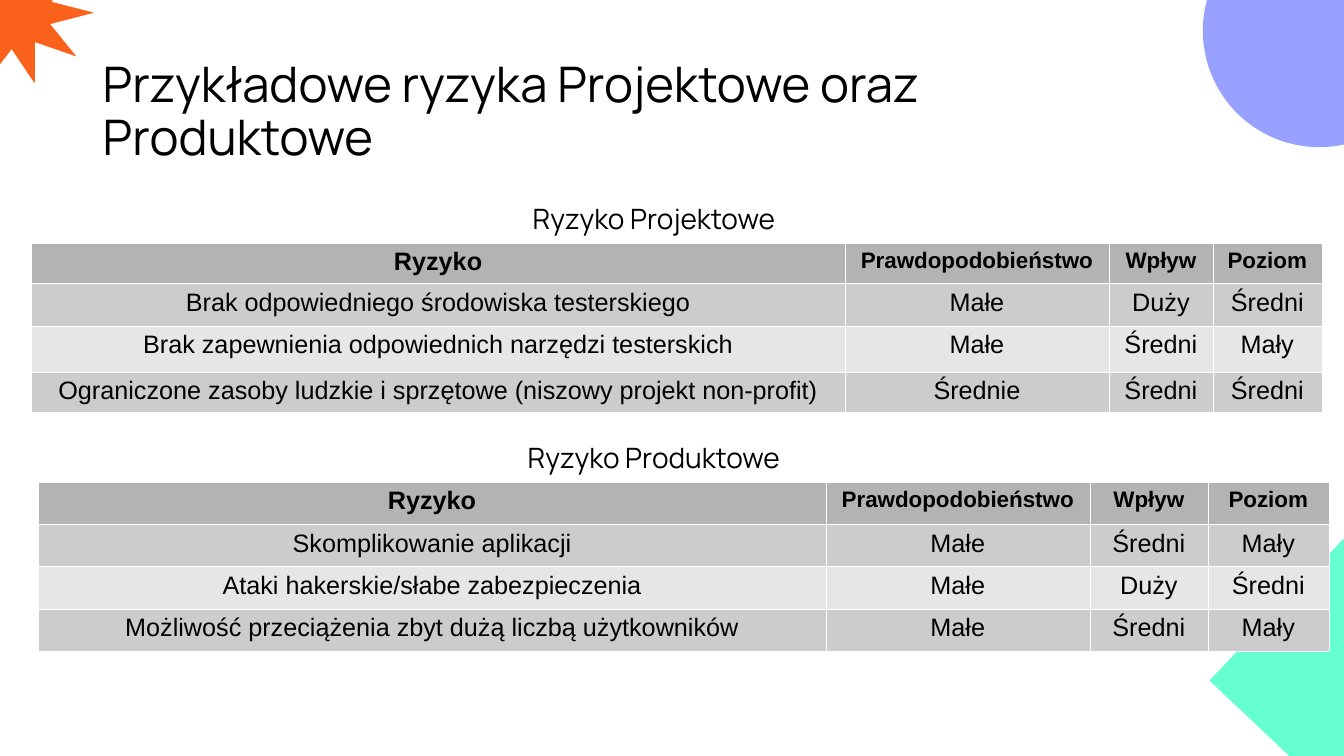
from lxml import etree
from pptx import Presentation
from pptx.dml.color import RGBColor
from pptx.enum.shapes import MSO_SHAPE
from pptx.enum.text import MSO_ANCHOR, PP_ALIGN
from pptx.oxml.ns import qn
from pptx.util import Inches, Pt

CENTER, LEFT, MIDDLE, TOP = PP_ALIGN.CENTER, PP_ALIGN.LEFT, MSO_ANCHOR.MIDDLE, MSO_ANCHOR.TOP
ELLIPSE, RECTANGLE, STAR = MSO_SHAPE.OVAL, MSO_SHAPE.RECTANGLE, MSO_SHAPE.STAR_10_POINT

BLACK = RGBColor(0x00, 0x00, 0x00)
VIOLET = RGBColor(0x98, 0xA1, 0xFF)
MINT = RGBColor(0x66, 0xFF, 0xD0)
ORANGE = RGBColor(0xFA, 0x61, 0x1A)
HEADER_GRAY = RGBColor(0xB3, 0xB3, 0xB3)
BAND_GRAYS = (RGBColor(0xCC, 0xCC, 0xCC), RGBColor(0xE6, 0xE6, 0xE6))
BORDER_COLOR = "FFFFFF"
BORDER_WIDTH = Pt(0.06)

TITLE = "Przykładowe ryzyka Projektowe oraz Produktowe"
HEADER = ("Ryzyko", "Prawdopodobieństwo", "Wpływ", "Poziom")
RISK_TABLES = [
    {
        "heading": "Ryzyko Projektowe",
        "left": 0.31, "top": 2.41,
        "columns": (8.07, 2.62, 1.03, 1.08),
        "heights": (0.38, 0.42, 0.46, 0.38),
        "risks": [
            ("Brak odpowiedniego środowiska testerskiego", "Małe", "Duży", "Średni"),
            ("Brak zapewnienia odpowiednich narzędzi testerskich", "Małe", "Średni", "Mały"),
            ("Ograniczone zasoby ludzkie i sprzętowe (niszowy projekt non-profit)",
             "Średnie", "Średni", "Średni"),
        ],
    },
    {
        "heading": "Ryzyko Produktowe",
        "left": 0.38, "top": 4.78,
        "columns": (7.81, 2.62, 1.17, 1.2),
        "heights": (0.42,) * 4,
        "risks": [
            ("Skomplikowanie aplikacji", "Małe", "Średni", "Mały"),
            ("Ataki hakerskie/słabe zabezpieczenia", "Małe", "Duży", "Średni"),
            ("Możliwość przeciążenia zbyt dużą liczbą użytkowników", "Małe", "Średni", "Mały"),
        ],
    },
]
# kind, (left, top, width, height), rotation, colour
DECORATIONS = [
    (ELLIPSE, (11.93, -0.85, 2.31, 2.31), 0, VIOLET),
    (RECTANGLE, (12.37, 4.92, 3.88, 2.7), 313.4, MINT),
    (STAR, (-0.63, -0.6, 1.53, 1.46), 343.3, ORANGE),
]
STAR_DEPTH = 0.243
TEXT_LEFT, TEXT_WIDTH = 0.92, 10.89
HEADING_SHIFT = 0.12
HEADING_RISE = 0.42  # from heading box top to table top


def add_decoration(slide, kind, box, rotation, color):
    shape = slide.shapes.add_shape(kind, *map(Inches, box))
    if kind == STAR:
        shape.adjustments[0] = STAR_DEPTH
    shape.rotation = rotation
    shape.shadow.inherit = False
    shape.fill.solid()
    shape.fill.fore_color.rgb = color
    shape.line.fill.background()


def style(paragraph, text, font, size, align, bold=False):
    paragraph.text = text
    paragraph.alignment = align
    paragraph.font.name = font
    paragraph.font.size = Pt(size)
    paragraph.font.bold = bold
    paragraph.font.color.rgb = BLACK


def add_text(slide, text, box, size, align, anchor):
    frame = slide.shapes.add_textbox(*map(Inches, box)).text_frame
    frame.word_wrap = True
    frame.vertical_anchor = anchor
    style(frame.paragraphs[0], text, "Manrope", size, align)
    frame.paragraphs[0].line_spacing = 0.9


def add_borders(cell):
    properties = cell._tc.get_or_add_tcPr()
    for side in ("a:lnL", "a:lnR", "a:lnT", "a:lnB"):
        line = etree.SubElement(properties, qn(side), w=str(int(BORDER_WIDTH)))
        fill = etree.SubElement(line, qn("a:solidFill"))
        etree.SubElement(fill, qn("a:srgbClr"), val=BORDER_COLOR)


def add_risk_table(slide, data):
    rows = [HEADER, *data["risks"]]
    columns, heights = data["columns"], data["heights"]
    box = (data["left"], data["top"], sum(columns), sum(heights))
    table = slide.shapes.add_table(len(rows), len(columns), *map(Inches, box)).table
    for column, width in zip(table.columns, columns):
        column.width = Inches(width)
    for row, height in zip(table.rows, heights):
        row.height = Inches(height)
    for r, values in enumerate(rows):
        is_header = r == 0
        for c, value in enumerate(values):
            cell = table.cell(r, c)
            size = 16 if is_header and c > 0 else 18
            style(cell.text_frame.paragraphs[0], value, "Arial", size, CENTER, is_header)
            add_borders(cell)
            cell.fill.solid()
            cell.fill.fore_color.rgb = HEADER_GRAY if is_header else BAND_GRAYS[(r - 1) % 2]


def main():
    deck = Presentation()
    deck.slide_width, deck.slide_height = Inches(13.33), Inches(7.5)
    slide = deck.slides.add_slide(deck.slide_layouts[6])
    for decoration in DECORATIONS:
        add_decoration(slide, *decoration)
    add_text(slide, TITLE, (TEXT_LEFT, 0.4, TEXT_WIDTH, 1.45), 35, LEFT, MIDDLE)
    for data in RISK_TABLES:
        heading_box = (TEXT_LEFT + HEADING_SHIFT, data["top"] - HEADING_RISE,
                       TEXT_WIDTH, HEADING_RISE)
        add_text(slide, data["heading"], heading_box, 20, CENTER, TOP)
        add_risk_table(slide, data)
    deck.save("out.pptx")


if __name__ == "__main__":
    main()
